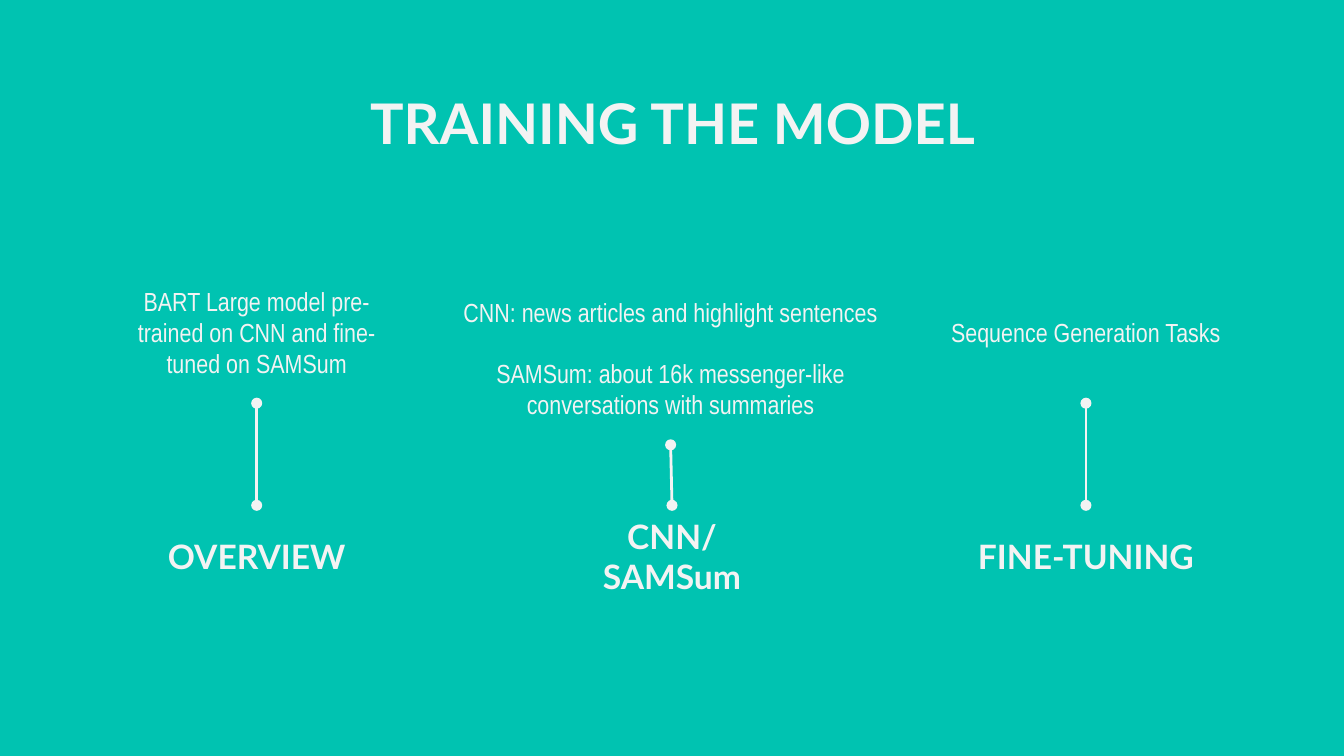
"""Build the "Training the model" slide with three labelled columns."""
import pptx
import pptx.dml.color
import pptx.enum.shapes
import pptx.enum.text
import pptx.oxml
import pptx.oxml.ns
import pptx.util

Inches, Pt = pptx.util.Inches, pptx.util.Pt
ANCHOR = pptx.enum.text.MSO_ANCHOR

TITLE = "TRAINING THE MODEL"
COLUMNS = [
    {"heading": "OVERVIEW", "heading_left": 1.07, "body_box": (0.79, 1.94, 2.24, 1.06),
     "insets": (0.1, 0.1),
     "body": ["BART Large model pre-trained on CNN and fine-tuned on SAMSum"]},
    {"heading": "CNN/SAMSum", "heading_left": 4.16, "body_box": (3.33, 2.25, 3.32, 1.06),
     "insets": (0, 0.23),
     "body": ["CNN: news articles and highlight sentences",
              "SAMSum: about 16k messenger-like conversations with summaries"]},
    {"heading": "FINE-TUNING", "heading_left": 7.24, "body_box": (6.96, 1.94, 2.24, 1.06),
     "insets": (0.1, 0.1),
     "body": ["Sequence Generation Tasks"]},
]
HEADING_TOP, HEADING_W, HEADING_H = 3.76, 1.68, 0.75
TEAL, WHITE = "00C3B1", "F3F3F3"


def paint(color_format, color):
    color_format.rgb = pptx.dml.color.RGBColor.from_string(color)


def place(sp, box):
    sp.left, sp.top, sp.width, sp.height = [Inches(v) for v in box]


def write(sp, lines, font, size, bold, anchor, side, top, bottom):
    tf = sp.text_frame
    tf.text = "\n".join(lines)
    tf.word_wrap = True
    tf.auto_size = pptx.enum.text.MSO_AUTO_SIZE.NONE
    tf.vertical_anchor = anchor
    tf.margin_left = tf.margin_right = Inches(side)
    tf.margin_top, tf.margin_bottom = Inches(top), Inches(bottom)
    for i, p in enumerate(tf.paragraphs):
        p.alignment = pptx.enum.text.PP_ALIGN.CENTER
        p.line_spacing = 1.0
        p.space_before = Pt(16 if i else 0)
        for r in p.runs:
            r.font.name, r.font.size, r.font.bold = font, Pt(size), bold
            paint(r.font.color, WHITE)


def add_text(slide, box, *style):
    sp = slide.shapes.add_textbox(*[Inches(v) for v in box])
    write(sp, *style)
    return sp


def link(slide, body, heading):
    line = slide.shapes.add_connector(pptx.enum.shapes.MSO_CONNECTOR.STRAIGHT, 0, 0, 0, 0)
    line.begin_connect(body, 2)
    line.end_connect(heading, 0)
    line.line.width = Pt(1.5)
    paint(line.line.color, WHITE)
    sp_pr = line._element.spPr
    ln = sp_pr.find(pptx.oxml.ns.qn("a:ln"))
    for tag in ("headEnd", "tailEnd"):
        ln.append(pptx.oxml.parse_xml(
            f'<a:{tag} {pptx.oxml.ns.nsdecls("a")} type="oval" w="med" len="med"/>'))
    sp_pr.append(pptx.oxml.parse_xml(f'<a:effectLst {pptx.oxml.ns.nsdecls("a")}/>'))


def main():
    prs = pptx.Presentation()
    prs.slide_width = Inches(10)
    prs.slide_height = prs.slide_width * 9 // 16
    slide = prs.slides.add_slide(prs.slide_layouts[5])
    slide.background.fill.solid()
    paint(slide.background.fill.fore_color, TEAL)

    title = slide.shapes.title
    place(title, (0.79, 0.56, 8.43, 0.63))
    write(title, [TITLE], "Lato", 30, True, ANCHOR.TOP, 0.1, 0.1, 0.1)

    for col in COLUMNS:
        body = add_text(slide, col["body_box"], col["body"], "Arial Narrow", 14, False,
                        ANCHOR.MIDDLE, 0.1, *col["insets"])
        heading = add_text(slide, (col["heading_left"], HEADING_TOP, HEADING_W, HEADING_H),
                           [col["heading"]], "Lato", 18, True, ANCHOR.MIDDLE, 0, 0, 0)
        link(slide, body, heading)

    prs.save("out.pptx")


if __name__ == "__main__":
    main()
